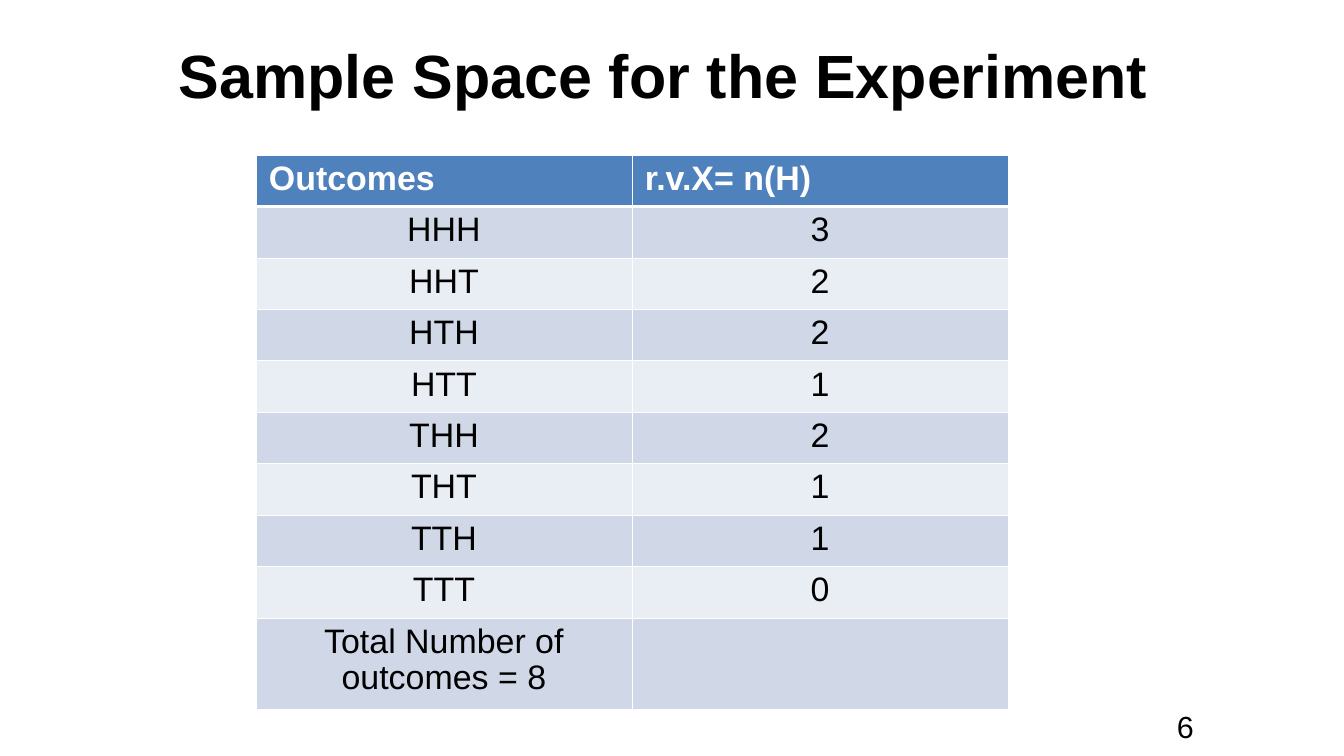
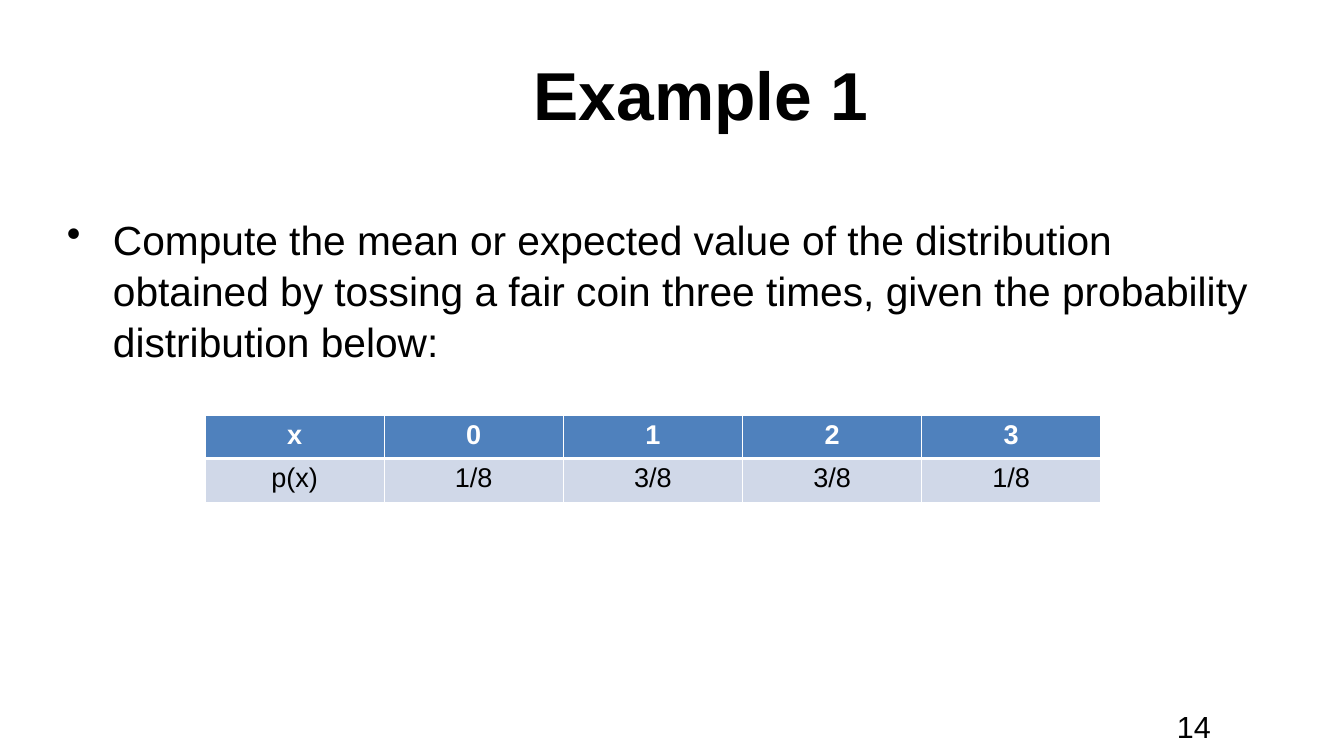
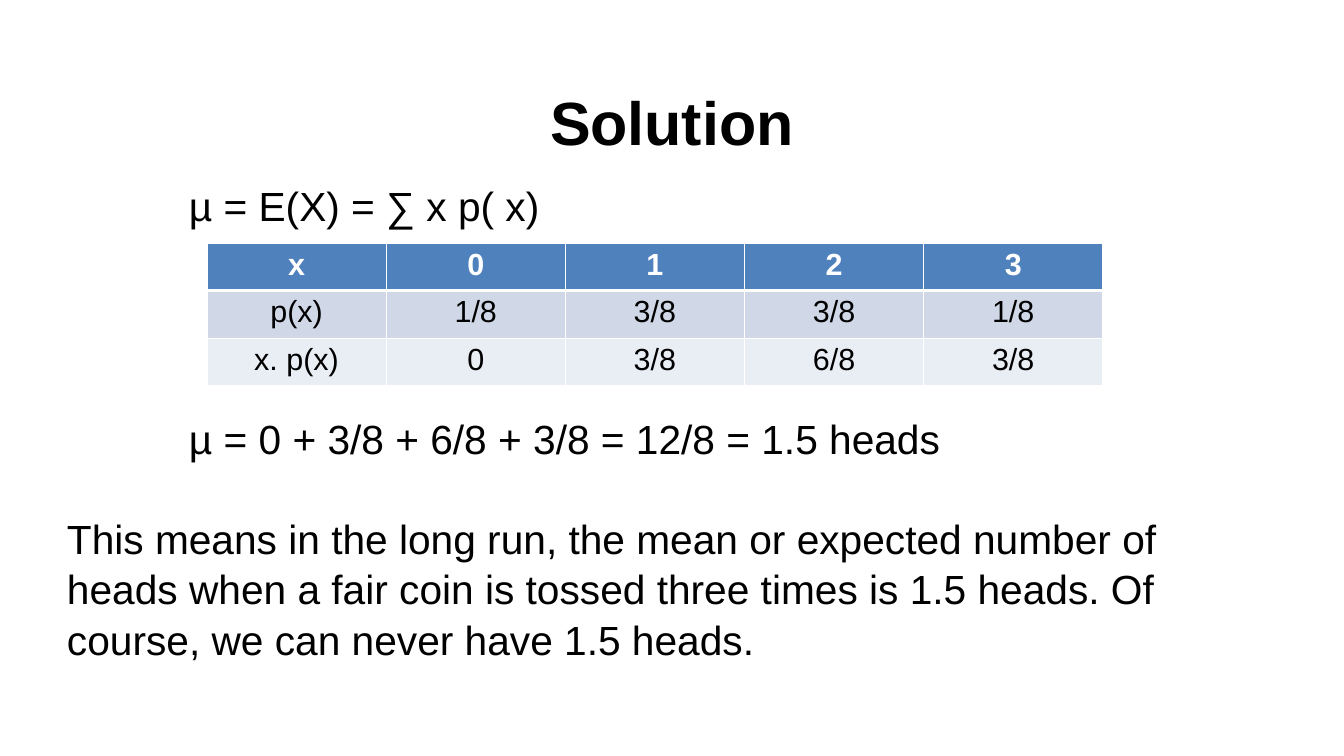
from dataclasses import dataclass
from typing import NamedTuple

from lxml import etree
from pptx import Presentation
from pptx import util as u
from pptx.dml.color import RGBColor
from pptx.enum import text
from pptx.oxml import ns

EMU_PER_PX = u.Inches(1) / 122


def px(length: float) -> u.Emu:
    return u.Emu(round(length * EMU_PER_PX))


class Box(NamedTuple):
    left: int
    top: int
    width: int
    height: int

    def emu(self) -> list[u.Emu]:
        return [px(length) for length in self]


@dataclass(frozen=True)
class Theme:
    font: str = "Arial"
    ink: str = "000000"
    paper: str = "FFFFFF"
    header: str = "4F81BD"
    bands: tuple[str, str] = ("D0D8E8", "E9EDF4")
    body_size: int = 24
    number_size: int = 18
    body_spacing: float = 1.04
    cell_spacing: float = 0.97
    rule: float = 0.45
    header_rule: float = 1.47
    cell_inset_x: int = 13
    cell_inset_y: int = 6


THEME = Theme()
NUMBER_BOX = Box(1165, 702, 112, 40)


@dataclass(frozen=True)
class Title:
    words: str
    box: Box
    size: int = 36


@dataclass(frozen=True)
class Paragraph:
    words: str
    indent: int = 0
    before: int = 0
    bullet: bool = False


@dataclass(frozen=True)
class Grid:
    """A banded table; the last row is taller by last_extra."""
    box: Box
    rows: list[list[str]]
    size: int
    header_align: text.PP_ALIGN = text.PP_ALIGN.CENTER
    last_extra: int = 0


@dataclass(frozen=True)
class Page:
    title: Title
    grid: Grid
    body_box: Box | None = None
    body: tuple[Paragraph, ...] = ()
    number: str = ""


def add_run(paragraph, words: str, size: int, color: str = THEME.ink, bold: bool = False) -> None:
    run = paragraph.add_run()
    run.text = words
    run.font.name = THEME.font
    run.font.size = u.Pt(size)
    run.font.bold = bold
    run.font.color.rgb = RGBColor.from_string(color)


def add_frame(slide, box: Box, inset_x: int = 0, inset_y: int = 0):
    frame = slide.shapes.add_textbox(*box.emu()).text_frame
    frame.word_wrap = True
    frame.margin_left = frame.margin_right = px(inset_x)
    frame.margin_top = frame.margin_bottom = px(inset_y)
    return frame


def add_title(slide, title: Title) -> None:
    frame = add_frame(slide, title.box)
    frame.vertical_anchor = text.MSO_ANCHOR.MIDDLE
    paragraph = frame.paragraphs[0]
    paragraph.alignment = text.PP_ALIGN.CENTER
    add_run(paragraph, title.words, title.size, bold=True)


def add_number(slide, number: str) -> None:
    frame = add_frame(slide, NUMBER_BOX, inset_x=12, inset_y=6)
    add_run(frame.paragraphs[0], number, THEME.number_size)


def add_body(slide, box: Box, body: tuple[Paragraph, ...]) -> None:
    frame = add_frame(slide, box)
    for index, item in enumerate(body):
        paragraph = frame.add_paragraph() if index else frame.paragraphs[0]
        properties = paragraph._p.get_or_add_pPr()
        properties.set("marL", str(px(item.indent)))
        if item.bullet:
            properties.set("indent", str(-px(item.indent)))
            etree.SubElement(properties, ns.qn("a:buChar")).set("char", "•")
        paragraph.line_spacing = THEME.body_spacing
        if item.before:
            paragraph.space_before = px(item.before)
        add_run(paragraph, item.words, THEME.body_size)


def add_borders(cell, row: int) -> None:
    """Rule all four sides, heavier where the header meets the first row."""
    heavy_side = {0: "lnB", 1: "lnT"}.get(row)
    properties = cell._tc.get_or_add_tcPr()
    for side in ("lnL", "lnR", "lnT", "lnB"):
        width = THEME.header_rule if side == heavy_side else THEME.rule
        line = etree.SubElement(properties, ns.qn(f"a:{side}"), w=str(u.Pt(width)))
        fill = etree.SubElement(line, ns.qn("a:solidFill"))
        etree.SubElement(fill, ns.qn("a:srgbClr"), val=THEME.paper)


def fill_cell(cell, words: str, row: int, grid: Grid) -> None:
    is_header = row == 0
    add_borders(cell, row)
    cell.fill.solid()
    color = THEME.header if is_header else THEME.bands[(row - 1) % 2]
    cell.fill.fore_color.rgb = RGBColor.from_string(color)
    cell.margin_left = cell.margin_right = px(THEME.cell_inset_x)
    cell.margin_top = cell.margin_bottom = px(THEME.cell_inset_y)
    if words:
        paragraph = cell.text_frame.paragraphs[0]
        paragraph.alignment = grid.header_align if is_header else text.PP_ALIGN.CENTER
        paragraph.line_spacing = THEME.cell_spacing
        add_run(paragraph, words, grid.size, THEME.paper if is_header else THEME.ink, is_header)


def add_grid(slide, grid: Grid) -> None:
    row_count, column_count = len(grid.rows), len(grid.rows[0])
    table = slide.shapes.add_table(row_count, column_count, *grid.box.emu()).table
    table.horz_banding = False
    for column in table.columns:
        column.width = px(grid.box.width / column_count)
    row_height = (grid.box.height - grid.last_extra) / row_count
    for row in table.rows:
        row.height = px(row_height)
    table.rows[row_count - 1].height = px(row_height + grid.last_extra)
    for row_index, row in enumerate(grid.rows):
        for column_index, words in enumerate(row):
            fill_cell(table.cell(row_index, column_index), words, row_index, grid)


OUTCOMES = ["HHH", "HHT", "HTH", "HTT", "THH", "THT", "TTH", "TTT"]
DISTRIBUTION = [["x", "0", "1", "2", "3"], ["p(x)", "1/8", "3/8", "3/8", "1/8"]]

PAGES = [
    Page(
        Title("Sample Space for the Experiment ", Box(67, 23, 1210, 102)),
        Grid(
            Box(256, 155, 752, 547),
            [["Outcomes", "r.v.X= n(H)"]]
            + [[outcome, str(outcome.count("H"))] for outcome in OUTCOMES]
            + [["Total Number of outcomes = 8", ""]],
            size=20, header_align=text.PP_ALIGN.LEFT, last_extra=40,
        ),
        number="6",
    ),
    Page(
        Title("Example 1 ", Box(144, 30, 1133, 126), size=40),
        Grid(Box(205, 415, 896, 85), DISTRIBUTION, size=16),
        Box(67, 213, 1210, 484),
        (Paragraph("Compute the mean or expected value of the distribution obtained by tossing "
                   "a fair coin three times, given the probability distribution below:",
                   indent=46, bullet=True),),
        number="14",
    ),
    Page(
        Title("Solution", Box(67, 78, 1210, 87)),
        Grid(Box(207, 243, 896, 140),
             DISTRIBUTION + [["x. p(x)", "0", "3/8", "6/8", "3/8"]], size=18),
        Box(67, 179, 1210, 519),
        (
            Paragraph("µ = E(X) = ∑ x p( x)", indent=122),
            Paragraph("µ = 0 + 3/8 + 6/8 + 3/8 = 12/8 = 1.5 heads", indent=122, before=182),
            Paragraph("This means in the long run, the mean or expected number of heads when a "
                      "fair coin is tossed three times is 1.5 heads. Of course, we can never "
                      "have 1.5 heads.", before=49),
        ),
    ),
]


def main() -> None:
    presentation = Presentation()
    presentation.slide_width, presentation.slide_height = px(1344), px(756)
    blank = presentation.slide_layouts[6]
    for page in PAGES:
        slide = presentation.slides.add_slide(blank)
        add_title(slide, page.title)
        if page.body_box:
            add_body(slide, page.body_box, page.body)
        add_grid(slide, page.grid)
        if page.number:
            add_number(slide, page.number)
    presentation.save("out.pptx")


if __name__ == "__main__":
    main()
